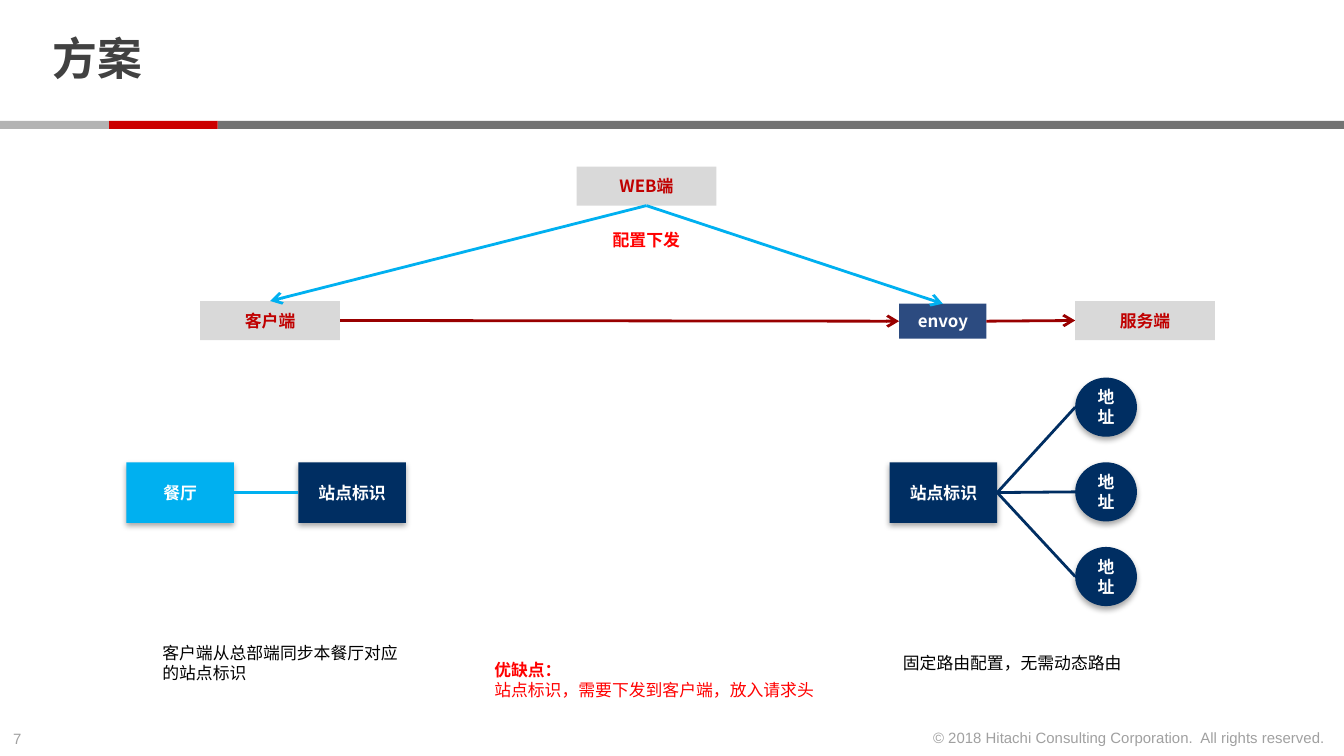
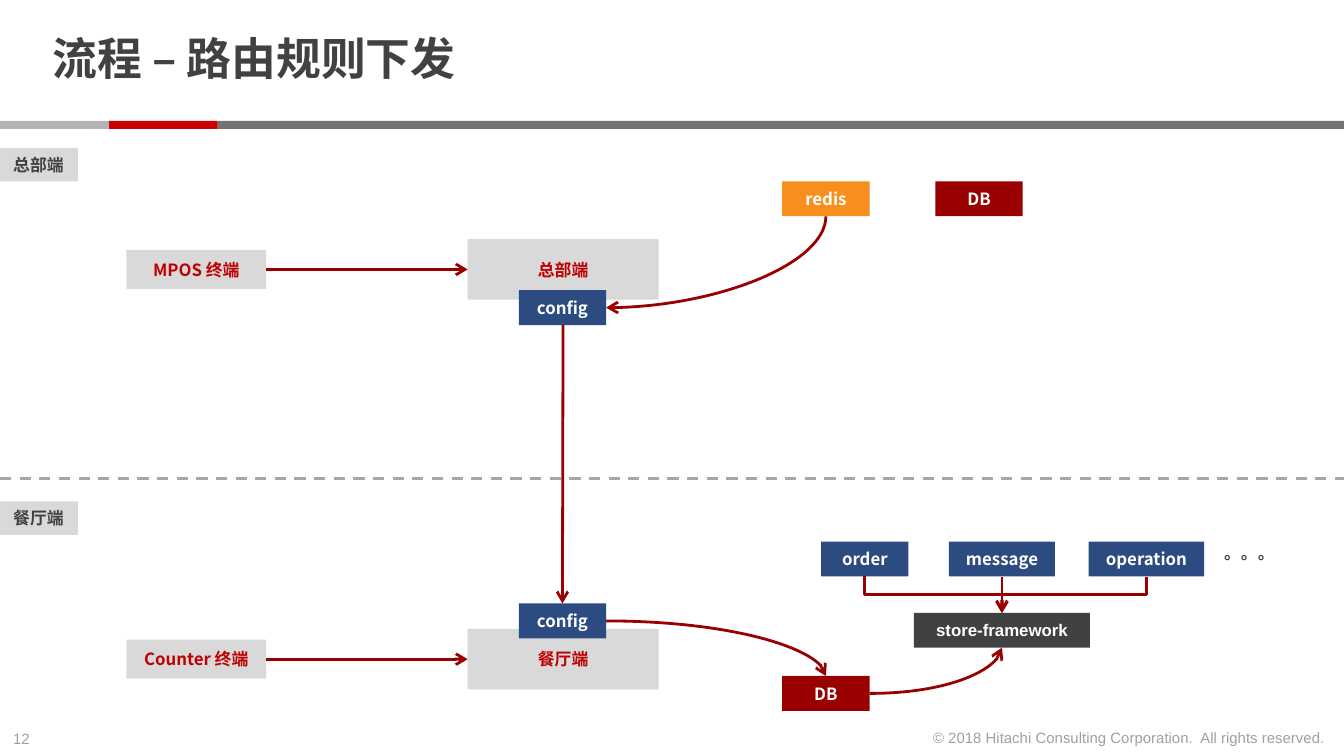
from pptx import Presentation
from pptx.dml.color import RGBColor
from pptx.enum.dml import MSO_LINE
from pptx.enum.shapes import MSO_CONNECTOR, MSO_SHAPE
from pptx.enum.text import MSO_ANCHOR, MSO_AUTO_SIZE, PP_ALIGN
from pptx.oxml import parse_xml
from pptx.oxml.ns import nsdecls, qn
from pptx.util import Inches, Pt

RECT, DISC = MSO_SHAPE.RECTANGLE, MSO_SHAPE.FLOWCHART_CONNECTOR
LINE, CURVE, ELBOW = MSO_CONNECTOR.STRAIGHT, MSO_CONNECTOR.CURVE, MSO_CONNECTOR.ELBOW
LEFT, MID, RIGHT = PP_ALIGN.LEFT, PP_ALIGN.CENTER, PP_ALIGN.RIGHT
TOP, CENTRE = MSO_ANCHOR.TOP, MSO_ANCHOR.MIDDLE
GROW, FIXED = MSO_AUTO_SIZE.SHAPE_TO_FIT_TEXT, MSO_AUTO_SIZE.NONE
DASH = MSO_LINE.DASH

# Sides of a box, and where each one's middle lies
N, W, S, E = range(4)
SIDES = ((0.5, 0), (0, 0.5), (0.5, 1), (1, 0.5))

SANS, CJK = "Arial", "Noto Sans CJK SC"
INK, PALE, WHITE, BLACK = "414141", "D9D9D9", "FFFFFF", "000000"
NAVY, BLUE, SKY = "002E62", "2C4B80", "00B0F0"
WINE, RED, ALERT, AMBER = "990000", "C00000", "FF0000", "F78E1E"
NOTE = "A0A0A0"
RULE = ((1.62, 8.38, "737373"), (0.81, 0.81, "CC0000"), (0, 0.81, "B3B3B3"))
RIGHTS = "© 2018 Hitachi Consulting Corporation.\u00a0 All rights reserved."


def tint(code):
    return RGBColor.from_string(code)


def write(frame, *lines, size=9, font=SANS, color=INK, bold=1, align=LEFT,
          anchor=TOP, wrap=True, fit=FIXED, lead=None):
    """Fill a text frame; the first `bold` lines are bold."""
    frame.word_wrap, frame.auto_size = wrap, fit
    frame.vertical_anchor = anchor
    for i, line in enumerate(lines):
        para = frame.add_paragraph() if i else frame.paragraphs[0]
        para.alignment = align
        if lead:
            para.line_spacing = lead
        run = para.add_run()
        run.text = line
        run.font.size, run.font.bold = Pt(size), i < bold
        run.font.color.rgb = tint(color)
        run.font.name = font
        east = parse_xml(f'<a:ea {nsdecls("a")} typeface="{CJK}"/>')
        run.font._element.append(east)


def label(slide, x, y, w, h, *lines, **style):
    box = slide.shapes.add_textbox(Inches(x), Inches(y), Inches(w), Inches(h))
    write(box.text_frame, *lines, fit=GROW, **style)


def node(slide, x, y, w, h, fill, text="", form=RECT, glow=False, **style):
    box = slide.shapes.add_shape(form, Inches(x), Inches(y), Inches(w), Inches(h))
    box.shadow.inherit = False
    box.fill.solid()
    box.fill.fore_color.rgb = tint(fill)
    box.line.fill.background()
    if glow:
        box._element.spPr.find(qn("a:effectLst")).append(parse_xml(
            f'<a:outerShdw {nsdecls("a")} blurRad="40000" dist="23000" '
            'dir="5400000" rotWithShape="0"><a:srgbClr val="000000">'
            '<a:alpha val="35000"/></a:srgbClr></a:outerShdw>'))
    if text:
        look = dict(font=CJK, color=WHITE, align=MID, anchor=CENTRE)
        write(box.text_frame, text, **{**look, **style})
    return box


def end(slide, x, y, text):
    return node(slide, x, y, 1.04, 0.29, PALE, text, color=RED)


def chip(slide, x, y, text, fill=BLUE, w=0.65, **style):
    return node(slide, x, y, w, 0.26, fill, text, **style)


def draw(con, color, tip=False):
    con.line.color.rgb = tint(color)
    con.line.width = Pt(1.5)
    if tip:
        con.line._get_or_add_ln().append(
            parse_xml(f'<a:tailEnd {nsdecls("a")} type="arrow"/>'))
    con._element.spPr.append(parse_xml(f'<a:effectLst {nsdecls("a")}/>'))


def spot(box, side):
    fx, fy = SIDES[side]
    return int(box.left + fx * box.width), int(box.top + fy * box.height)


def link(slide, a, i, b, j, color=WINE, tip=True, kind=LINE):
    """Join side i of a to side j of b."""
    (x1, y1), (x2, y2) = spot(a, i), spot(b, j)
    con = slide.shapes.add_connector(kind, x1, y1, x2, y2)
    con.begin_connect(a, i)
    if b.auto_shape_type == RECT:
        con.end_connect(b, j)
    if kind == CURVE:
        con._element.spPr.find(qn("a:prstGeom")).set("prst", "curvedConnector2")
    if kind != LINE and i in (N, S):
        # A path that leaves vertically is a quarter turn of a level one
        cx, cy, dx, dy = (x1 + x2) // 2, (y1 + y2) // 2, x2 - x1, y2 - y1
        con.begin_x, con.begin_y = cx - dy // 2, cy + dx // 2
        con.end_x, con.end_y = cx + dy // 2, cy - dx // 2
        con._element.spPr.find(qn("a:xfrm")).set("rot", "5400000")
    draw(con, color, tip)


def page(deck, title, num):
    """Shared title, rule and footer."""
    slide = deck.slides.add_slide(deck.slide_layouts[5])
    head = slide.shapes.title
    head.left, head.top = Inches(0.29), Inches(0.06)
    head.width, head.height = Inches(7.71), Inches(0.8)
    frame = head.text_frame
    frame.margin_left = frame.margin_right = Inches(0.1)
    frame.margin_top = frame.margin_bottom = 0
    write(frame, title, size=24, anchor=CENTRE, lead=0.85)
    for x, w, fill in RULE:
        node(slide, x, 0.9, w, 0.06, fill)
    foot = dict(size=8, color=NOTE, bold=0, wrap=False)
    label(slide, 0, 5.38, 0.34, 0.24, num, **foot)
    label(slide, 6.8, 5.37, 3.16, 0.24, RIGHTS, align=RIGHT, **foot)
    return slide


# Plan slide
def route(slide, x, y):
    web = end(slide, x + 2.8, y, "WEB端")
    user = end(slide, x, y + 1, "客户端")
    host = end(slide, x + 6.51, y + 1, "服务端")
    proxy = chip(slide, x + 5.2, y + 1.02, "envoy")
    link(slide, user, E, proxy, W)
    link(slide, proxy, E, host, W)
    for goal in (user, proxy):
        link(slide, web, S, goal, N, SKY)
    label(slide, x + 2.97, y + 0.42, 0.71, 0.25, "配置下发",
          color=ALERT, wrap=False)


def site(slide, x, y, text="站点标识", fill=NAVY):
    return node(slide, x, y, 0.8, 0.45, fill, text, glow=True)


def shop(slide, x, y):
    link(slide, site(slide, x, y, "餐厅", SKY), E,
         site(slide, x + 1.28, y), W, SKY, tip=False)
    label(slide, x + 0.17, y + 1.29, 2.06, 0.4,
          "客户端从总部端同步本餐厅对应的站点标识", color=BLACK, bold=0)


def fan(slide, x, y):
    hub = site(slide, x, y)
    for step in (-1, 0, 1):
        disc = node(slide, x + 1.38, y + 0.63 * step, 0.46, 0.44, NAVY, "地址",
                    form=DISC, glow=True)
        link(slide, hub, E, disc, W, NAVY, tip=False)
    label(slide, x, y + 1.37, 2.06, 0.25, "固定路由配置，无需动态路由",
          color=BLACK, bold=0)


def plan(deck):
    slide = page(deck, "方案", "7")
    route(slide, 1.49, 1.24)
    shop(slide, 0.94, 3.44)
    fan(slide, 6.62, 3.44)
    label(slide, 3.58, 4.86, 2.63, 0.4, "优缺点：",
          "站点标识，需要下发到客户端，放入请求头", color=ALERT)


# Flow slide
def lane(slide, y, drop, tag, term):
    """A tagged lane whose terminal calls its host."""
    node(slide, 0, y, 0.58, 0.25, PALE, tag, color=INK, align=LEFT,
         anchor=TOP, wrap=False, fit=GROW)
    host = node(slide, 3.48, y + drop, 1.42, 0.45, PALE, tag, color=RED)
    link(slide, end(slide, 0.94, y + drop + 0.08, term), E, host, W)
    return host


def store(slide, x, y, source):
    base = chip(slide, x, y + 1, "DB", WINE)
    core = chip(slide, x + 0.98, y + 0.53, "store-framework", INK, 1.31, font=SANS)
    apps = (("order", 0.29, 0.65, ELBOW), ("message", 1.24, 0.79, LINE),
            ("operation", 2.28, 0.86, ELBOW))
    for name, dx, w, kind in apps:
        link(slide, chip(slide, x + dx, y, name, w=w), S, core, N, kind=kind)
    label(slide, x + 3.19, y - 0.04, 0.58, 0.25, "。。。", wrap=False)
    link(slide, source, E, base, N, kind=CURVE)
    link(slide, base, E, core, S, kind=CURVE)


def flow(deck):
    slide = page(deck, "流程 – 路由规则下发", "12")
    rule = slide.shapes.add_connector(LINE, 0, Inches(3.56), Inches(10), Inches(3.56))
    draw(rule, "A6A6A6")
    rule.line.dash_style = DASH
    office = lane(slide, 1.1, 0.68, "总部端", "MPOS 终端")
    lane(slide, 3.73, 0.95, "餐厅端", "Counter 终端")
    low = chip(slide, 3.86, 4.49, "config")
    link(slide, office, S, low, N)
    high = chip(slide, 3.86, 2.16, "config")
    cache = chip(slide, 5.82, 1.35, "redis", AMBER)
    chip(slide, 6.96, 1.35, "DB", WINE)
    link(slide, cache, S, high, E, kind=CURVE)
    store(slide, 5.82, 4.03, low)


def main():
    deck = Presentation()
    deck.slide_width = Inches(10)
    deck.slide_height = deck.slide_width * 9 // 16
    plan(deck)
    flow(deck)
    deck.save("out.pptx")


if __name__ == "__main__":
    main()
